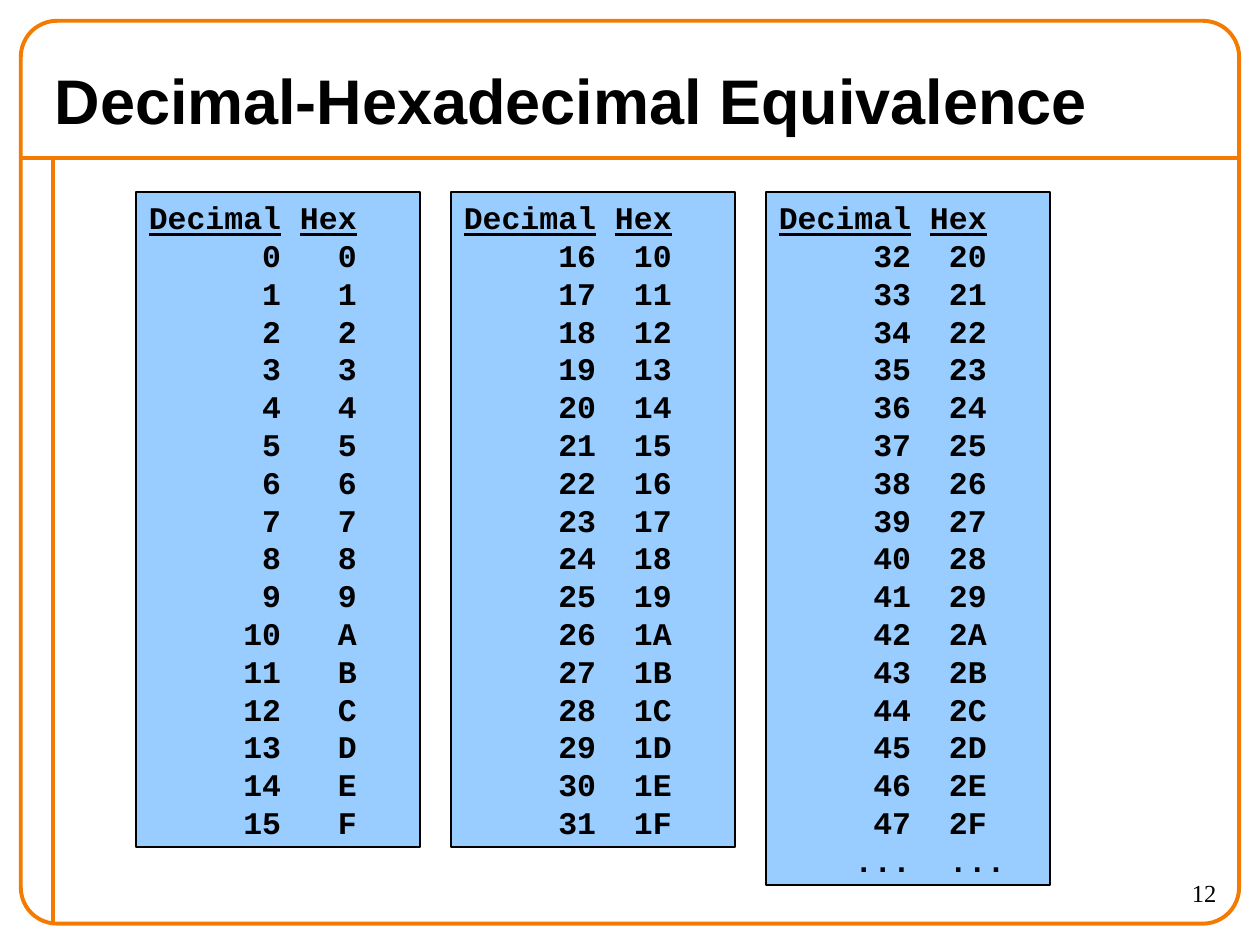
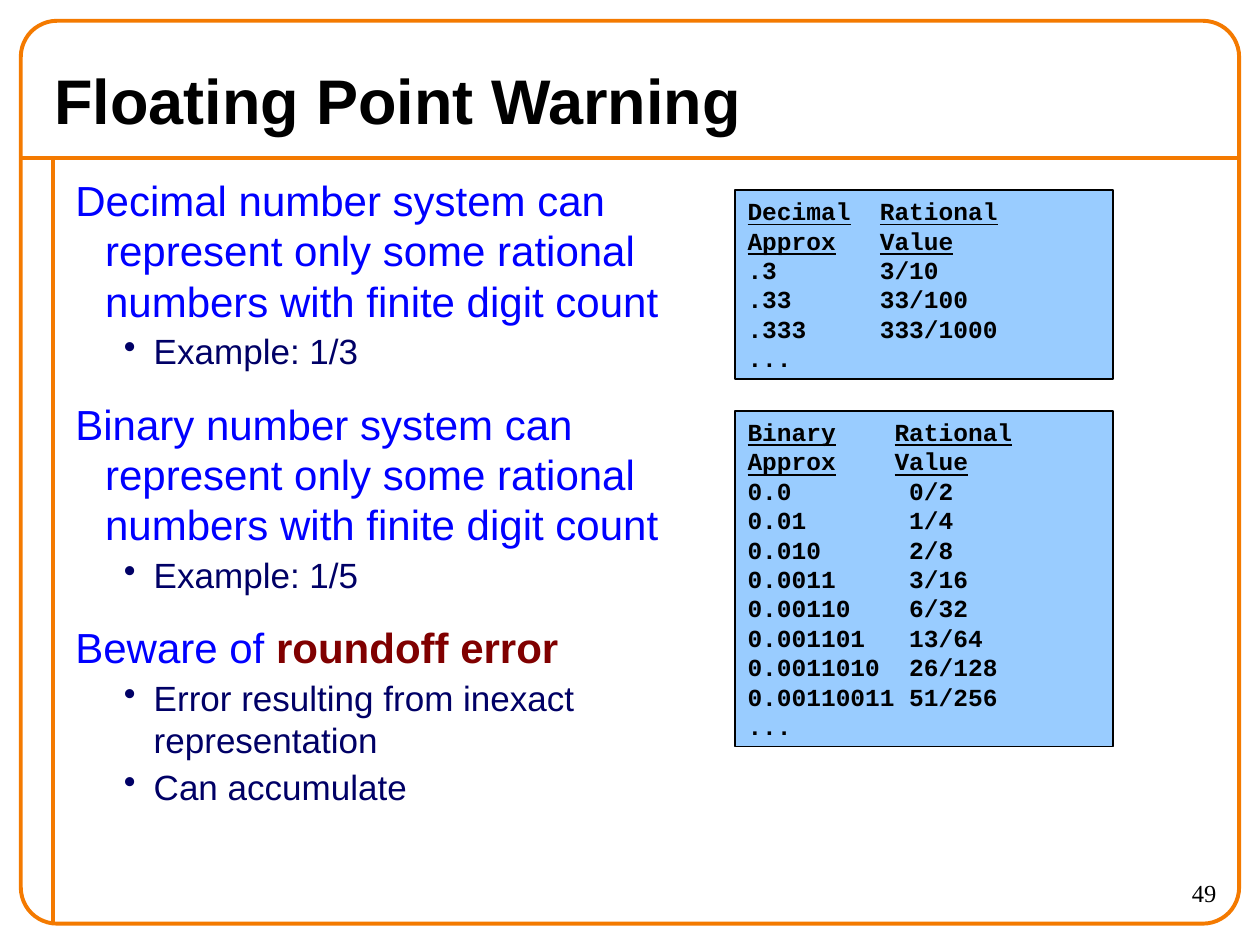
"""Build two slides on number systems: hexadecimal equivalence and floating point warning."""
from dataclasses import dataclass

import lxml.etree
import pptx
import pptx.dml.color
import pptx.enum.shapes
import pptx.enum.text
import pptx.oxml.ns
import pptx.util

Cm = pptx.util.Cm
Pt = pptx.util.Pt
RGB = pptx.dml.color.RGBColor.from_string
ALIGN = pptx.enum.text.PP_ALIGN
TAB = pptx.enum.text.PP_TAB_ALIGNMENT if hasattr(pptx.enum.text, "PP_TAB_ALIGNMENT") else None
SHAPE = pptx.enum.shapes.MSO_SHAPE
MIDDLE = pptx.enum.text.MSO_ANCHOR.MIDDLE
qn = pptx.oxml.ns.qn


@dataclass(frozen=True)
class Style:
    font: str
    size: int
    color: str
    bold: bool = False


@dataclass(frozen=True)
class Theme:
    frame = "F47A00"
    panel = "99CCFF"
    ink = "000000"
    warning = "800000"
    line_height = 1.2
    title = Style("Arial", 36, "000000", True)
    number = Style("Times New Roman", 14, "000000")
    point = Style("Arial", 24, "0000FF")
    example = Style("Arial", 20, "000066")
    hex_code = Style("Courier New", 18, "000000", True)
    fraction = Style("Courier New", 14, "000000", True)


theme = Theme()


def add_line(frame, text, style, tabs=(), bullet=False):
    """Write one paragraph; underscores enclose its emphasised words."""
    paragraph = frame.add_paragraph() if frame.text else frame.paragraphs[0]
    properties = paragraph._p.get_or_add_pPr()
    if bullet:
        lxml.etree.SubElement(properties, qn("a:buChar")).set("char", "•")
    if tabs:
        stops = lxml.etree.SubElement(properties, qn("a:tabLst"))
        for side, characters in tabs:
            stop = lxml.etree.SubElement(stops, qn("a:tab"))
            stop.set("pos", str(Pt(characters * style.size * 0.6)))
            stop.set("algn", side)
    paragraph.alignment = ALIGN.LEFT
    paragraph.line_spacing = Pt(style.size * theme.line_height)
    for part, words in enumerate(text.split("_")):
        emphasised = part % 2 == 1
        for row, piece in enumerate(words.split("\n")):
            if row:
                paragraph.add_line_break()
            if not piece:
                continue
            run = paragraph.add_run()
            run.text = piece
            run.font.name = style.font
            run.font.size = Pt(style.size)
            run.font.bold = style.bold or emphasised
            run.font.underline = emphasised and style.bold
            marked = emphasised and not style.bold
            run.font.color.rgb = RGB(theme.warning if marked else style.color)
    return paragraph


def add_panel(slide, left, top, width, lines, style):
    """Draw a blue listing as tall as its lines of (text, tab stops)."""
    height = len(lines) * Pt(style.size * theme.line_height) + Cm(0.25)
    panel = slide.shapes.add_shape(SHAPE.RECTANGLE, Cm(left), Cm(top), Cm(width), height)
    panel.shadow.inherit = False
    panel.fill.solid()
    panel.fill.fore_color.rgb = RGB(theme.panel)
    panel.line.color.rgb = RGB(theme.ink)
    panel.line.width = Pt(1)
    panel.text_frame.word_wrap = True
    panel.text_frame.vertical_anchor = MIDDLE
    for text, tabs in lines:
        add_line(panel.text_frame, text, style, tabs)


deck = pptx.Presentation()
deck.slide_width, deck.slide_height = Cm(25.4), Cm(19.05)

slides = []
for title, number in (("Decimal-Hexadecimal Equivalence", "12"), ("Floating Point Warning", "49")):
    slide = deck.slides.add_slide(deck.slide_layouts[6])
    slides.append(slide)
    for ends in ((0.42, 3.18, 24.98, 3.18), (1.06, 3.18, 1.06, 18.62)):
        rule = slide.shapes.add_connector(
            pptx.enum.shapes.MSO_CONNECTOR.STRAIGHT, *(Cm(end) for end in ends))
        rule.line.color.rgb = RGB(theme.frame)
        rule.line.width = Pt(2.25)
        lxml.etree.SubElement(rule._element.spPr, qn("a:effectLst"))
    border = slide.shapes.add_shape(
        SHAPE.ROUNDED_RECTANGLE, Cm(0.42), Cm(0.42), Cm(24.56), Cm(18.2))
    border.adjustments[0] = 0.04
    border.shadow.inherit = False
    border.fill.background()
    border.line.color.rgb = RGB(theme.frame)
    border.line.width = Pt(2.25)

    heading = slide.shapes.add_textbox(Cm(0.85), Cm(1.06), Cm(23.71), Cm(1.9)).text_frame
    heading.word_wrap = True
    heading.vertical_anchor = MIDDLE
    add_line(heading, title, theme.title)
    page = slide.shapes.add_textbox(Cm(22.23), Cm(17.57), Cm(2.54), Cm(1.06)).text_frame
    page.word_wrap = True
    add_line(page, number, theme.number).alignment = ALIGN.RIGHT

equivalence, warning = slides

for column in range(3):
    rows = [("_Decimal_ _Hex_", ())]
    for value in range(16 * column, 16 * column + 16):
        rows.append((f"\t{value}\t{value:X}", (("r", 7), ("r", 11))))
    if column == 2:
        rows.append(("\t...\t...", (("r", 7), ("r", 12))))
    add_panel(equivalence, 2.75 + 6.35 * column, 3.87, 5.72, rows, theme.hex_code)

points = (
    ("Decimal number system can\nrepresent only some rational\nnumbers with finite digit count",
     ("Example: 1/3",)),
    ("Binary number system can\nrepresent only some rational\nnumbers with finite digit count",
     ("Example: 1/5",)),
    ("Beware of _roundoff error_",
     ("Error resulting from inexact\nrepresentation", "Can accumulate")),
)
body = warning.shapes.add_textbox(Cm(1.27), Cm(3.39), Cm(23.5), Cm(15.24)).text_frame
body.word_wrap = True
for order, (point, examples) in enumerate(points):
    statement = add_line(body, point, theme.point)
    statement.space_before = Pt(15 if order else 0)
    statement._p.pPr.set("marL", str(Cm(0.6)))
    statement._p.pPr.set("indent", str(Cm(-0.6)))
    for example in examples:
        detail = add_line(body, example, theme.example, bullet=True)
        detail.level = 1
        detail.space_before = Pt(2.5)
        detail._p.pPr.set("marL", str(Cm(1.58)))
        detail._p.pPr.set("indent", str(Cm(-0.6)))

approximations = (
    (3.83, "Decimal", 9, 9, (
        (".3", "3/10"), (".33", "33/100"), (".333", "333/1000"))),
    (8.28, "Binary", 10, 11, (
        ("0.0", "0/2"), ("0.01", "1/4"), ("0.010", "2/8"), ("0.0011", "3/16"),
        ("0.00110", "6/32"), ("0.001101", "13/64"), ("0.0011010", "26/128"),
        ("0.00110011", "51/256"))),
)
for top, system, header_stop, value_stop, pairs in approximations:
    rows = [(f"_{system}_\t_Rational_", (("l", header_stop),)),
            ("_Approx_\t_Value_", (("l", header_stop),))]
    rows += [(f"{approx}\t{rational}", (("l", value_stop),)) for approx, rational in pairs]
    rows.append(("...", ()))
    add_panel(warning, 14.82, top, 7.62, rows, theme.fraction)

deck.save("out.pptx")
